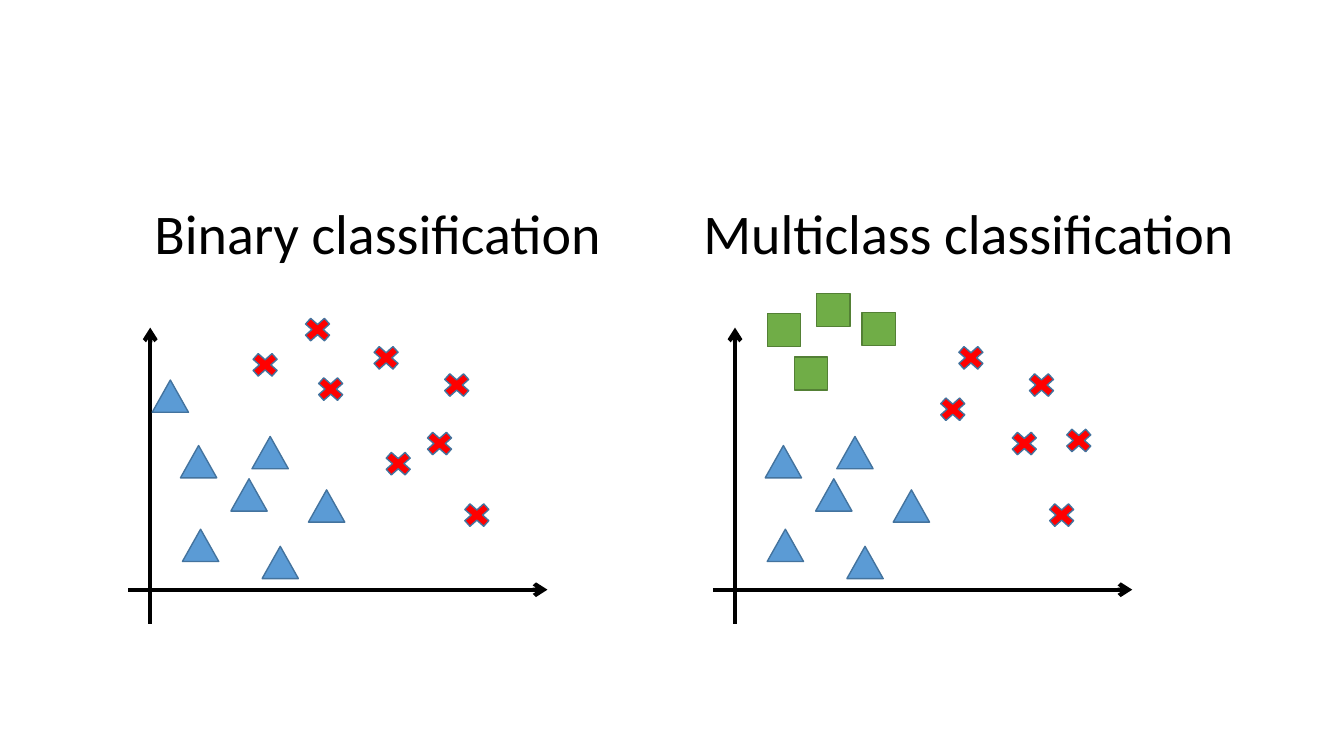
import lxml.etree
import pptx
import pptx.dml.color
import pptx.enum.shapes
import pptx.enum.text
import pptx.oxml.ns
import pptx.util

Inches = pptx.util.Inches
Pt = pptx.util.Pt
MSO_SHAPE = pptx.enum.shapes.MSO_SHAPE
qn = pptx.oxml.ns.qn


def color(hex_string):
    return pptx.dml.color.RGBColor.from_string(hex_string)


presentation = pptx.Presentation()
presentation.slide_width = Inches(13.33)
presentation.slide_height = Inches(7.5)
slide = presentation.slides.add_slide(presentation.slide_layouts[6])

# Marker kind: preset shape, width, height, fill, outline
markers = {
    "triangle": (MSO_SHAPE.ISOSCELES_TRIANGLE, 0.36, 0.32, "5B9BD5", "43739E"),
    "cross": (MSO_SHAPE.MATH_MULTIPLY, 0.36, 0.32, "FF0000", "43739E"),
    "square": (MSO_SHAPE.RECTANGLE, 0.33, 0.33, "70AD47", "538035"),
}

# Marker positions are measured from the left panel; the right panel is shifted
panel_shift = 5.8
shared_points = {
    "triangle": [(2.6, 5.42), (1.81, 5.25), (1.79, 4.42), (2.29, 4.75), (3.06, 4.86), (2.5, 4.33)],
    "cross": [(3.65, 3.39), (4.18, 4.24), (4.35, 3.66), (4.55, 4.95)],
}
binary_points = {
    "triangle": [(1.51, 3.77)],
    "cross": [(2.45, 3.46), (3.77, 4.44), (3.1, 3.7), (2.97, 3.11)],
}
multiclass_points = {
    "cross": [(4.72, 4.21), (3.47, 3.9)],
    "square": [(1.81, 3.11), (2.3, 2.91), (2.75, 3.1), (2.08, 3.54)],
}
axes = [(1.49, 6.19, 1.49, 3.25), (1.27, 5.85, 5.43, 5.85)]

panels = [
    ("Binary classification", 0.92, 0, binary_points),
    ("Multiclass classification", 6.78, panel_shift, multiclass_points),
]

for title, title_left, shift, own_points in panels:
    text_box = slide.shapes.add_textbox(Inches(title_left), Inches(2), Inches(5.65), Inches(4.76))
    text_box.text_frame.word_wrap = True
    paragraph = text_box.text_frame.paragraphs[0]
    paragraph.text = title
    paragraph.alignment = pptx.enum.text.PP_ALIGN.CENTER
    paragraph.line_spacing = 0.9
    paragraph.font.name = "Calibri"
    paragraph.font.size = Pt(40)
    paragraph.font.color.rgb = color("000000")

    for x1, y1, x2, y2 in axes:
        axis = slide.shapes.add_connector(
            pptx.enum.shapes.MSO_CONNECTOR.STRAIGHT,
            Inches(x1 + shift), Inches(y1), Inches(x2 + shift), Inches(y2))
        axis.line.color.rgb = color("000000")
        axis.line.width = Pt(3)
        lxml.etree.SubElement(axis.line._get_or_add_ln(), qn("a:tailEnd"), type="arrow")
        lxml.etree.SubElement(axis._element.spPr, qn("a:effectLst"))

    for points in (shared_points, own_points):
        for kind, positions in points.items():
            preset, width, height, fill, outline = markers[kind]
            for left, top in positions:
                shape = slide.shapes.add_shape(
                    preset, Inches(left + shift), Inches(top), Inches(width), Inches(height))
                shape.shadow.inherit = False
                shape.fill.solid()
                shape.fill.fore_color.rgb = color(fill)
                shape.line.color.rgb = color(outline)
                shape.line.width = Pt(1)

presentation.save("out.pptx")
